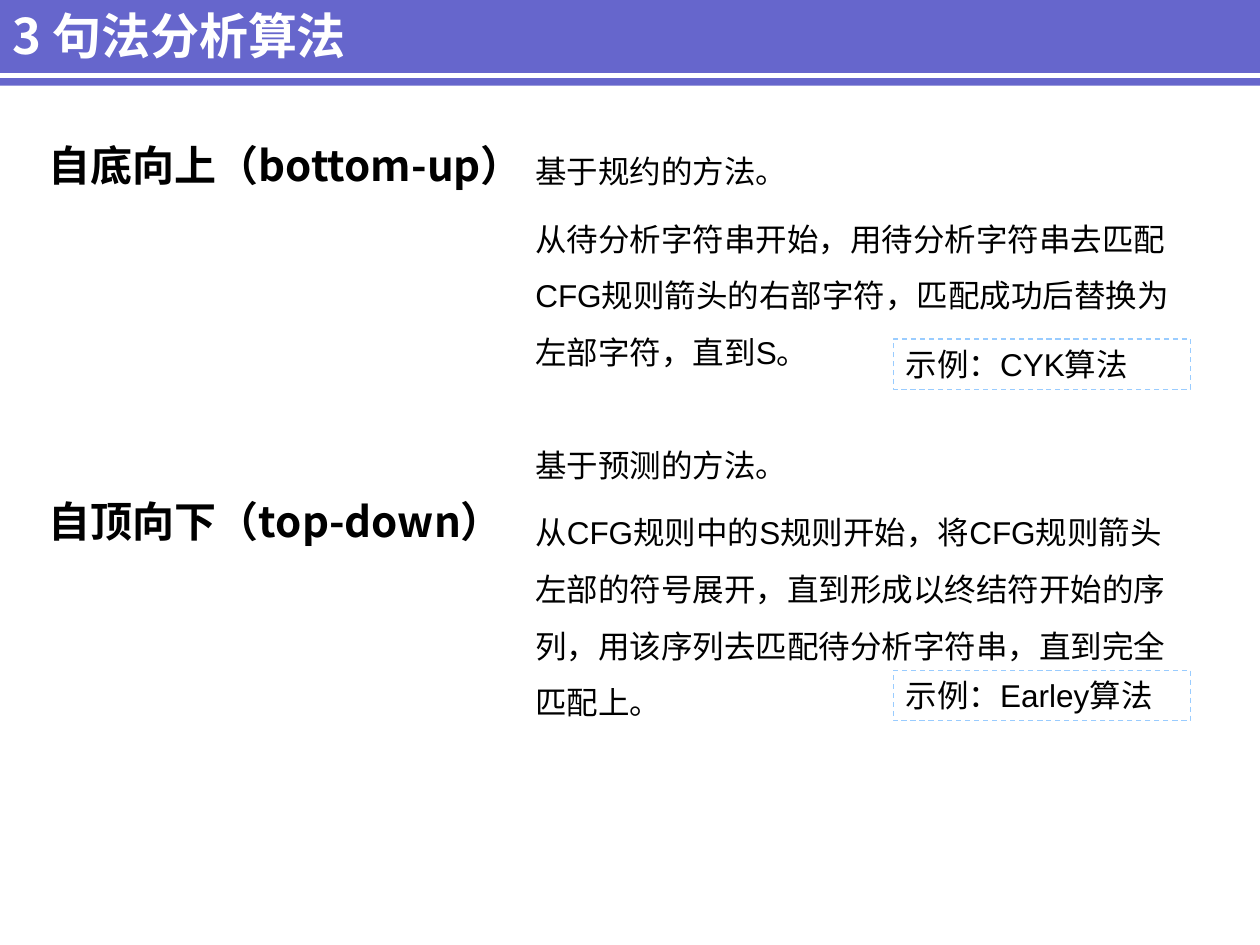
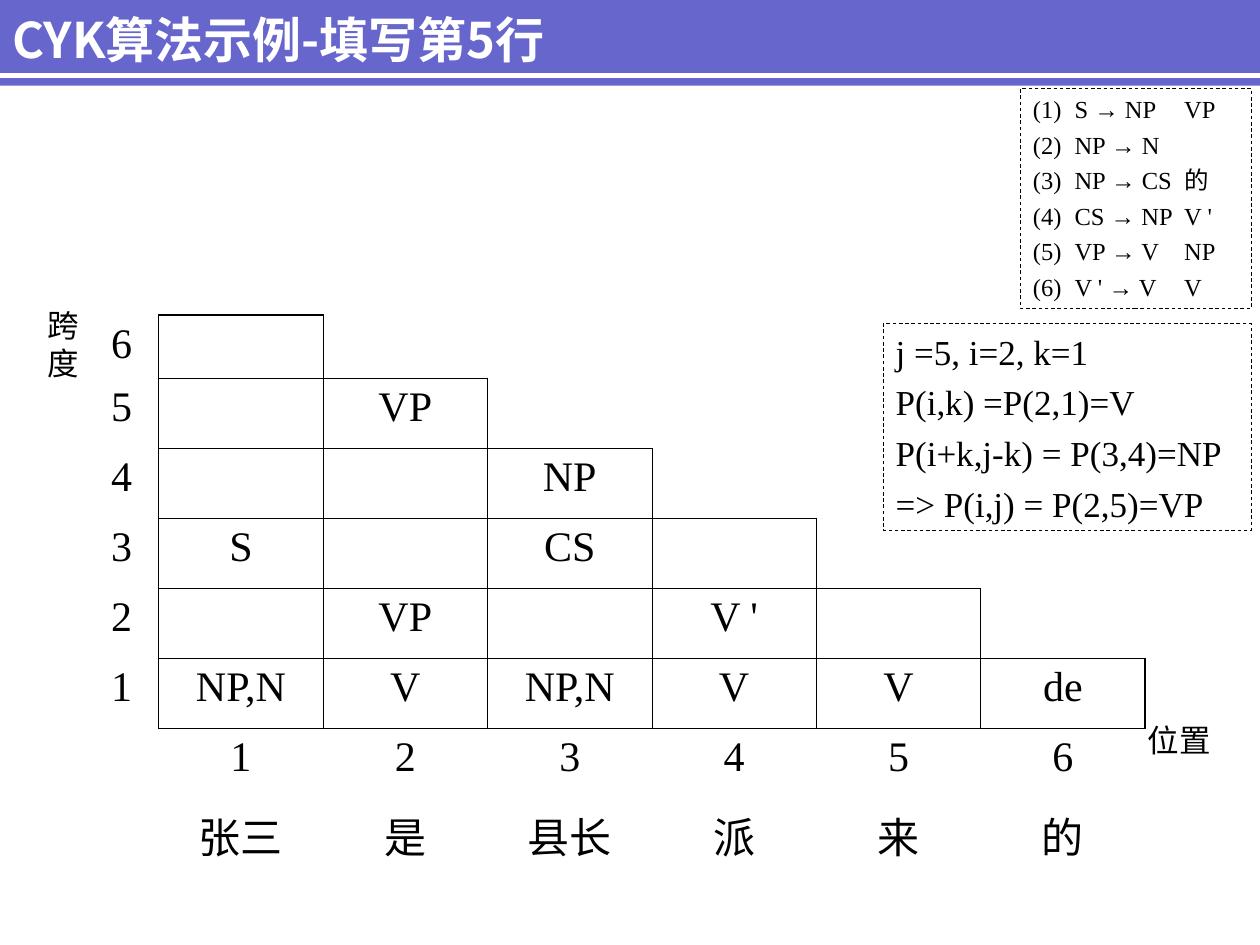
from dataclasses import dataclass

from lxml.etree import SubElement
from pptx import Presentation
from pptx.dml.color import RGBColor
from pptx.enum.dml import MSO_LINE
from pptx.enum.shapes import MSO_CONNECTOR, MSO_SHAPE
from pptx.enum.text import MSO_ANCHOR, PP_ALIGN
from pptx.oxml.ns import qn
from pptx.util import Inches, Pt


@dataclass(frozen=True)
class Theme:
    """Colours, fonts and type sizes of the presentation."""

    band: str = "6666CC"
    white: str = "FFFFFF"
    ink: str = "000000"
    example: str = "99CCFF"
    heading_font: str = "Noto Sans CJK SC"
    body_font: str = "Arial"
    label_font: str = "Calibri"
    chart_font: str = "Times New Roman"
    title_size: int = 28
    heading_size: int = 24
    formula_size: int = 20
    body_size: int = 18
    rule_size: int = 14
    grid_line: float = 0.45
    edge_line: float = 1.08


THEME = Theme()
NO_GRID_STYLE = "{2D5ABB26-0587-4C30-8999-92F81FD0307C}"

METHODS = [
    {
        "top": 1.01,
        "heading_top": 1.06,
        "example_top": 2.69,
        "heading": "自底向上（bottom-up）",
        "text": [
            "基于规约的方法。",
            "从待分析字符串开始，用待分析字符串去匹配CFG规则箭头的右部字符，匹配成功后替换为左部字符，直到S。",
        ],
        "example": "示例：CYK算法",
    },
    {
        "top": 3.34,
        "heading_top": 3.88,
        "example_top": 5.32,
        "heading": "自顶向下（top-down）",
        "text": [
            "基于预测的方法。",
            "从CFG规则中的S规则开始，将CFG规则箭头左部的符号展开，直到形成以终结符开始的序列，用该序列去匹配待分析字符串，直到完全匹配上。",
        ],
        "example": "示例：Earley算法",
    },
]

GRAMMAR = [
    "(1)\tS → NP\tVP",
    "(2)\tNP → N",
    "(3)\tNP → CS\t的",
    "(4)\tCS → NP\tV '",
    "(5)\tVP → V\tNP",
    "(6)\tV ' → V\tV",
]

DERIVATION = [
    "j =5, i=2, k=1",
    "P(i,k) =P(2,1)=V",
    "P(i+k,j-k) = P(3,4)=NP",
    "=> P(i,j) = P(2,5)=VP",
]

WORDS = ["张三", "是", "县长", "派", "来", "的"]
SPANS = [
    ["", "", "", "", "", ""],
    ["", "VP", "", "", "", ""],
    ["", "", "NP", "", "", ""],
    ["S", "", "CS", "", "", ""],
    ["", "VP", "", "V '", "", ""],
    ["NP,N", "V", "NP,N", "V", "V", "de"],
]


def rgb(colour):
    """Return a colour object for a hex string."""
    return RGBColor.from_string(colour)


def write_text(frame, lines, font=THEME.body_font, size=THEME.body_size, color=THEME.ink,
               bold=False, align=None, anchor=MSO_ANCHOR.TOP, gap=0, spacing=None,
               hanging=0, tabs=()):
    """Fill a text frame with one formatted paragraph for each line."""
    frame.word_wrap = True
    frame.vertical_anchor = anchor
    for index, line in enumerate(lines):
        paragraph = frame.add_paragraph() if index else frame.paragraphs[0]
        properties = paragraph._p.get_or_add_pPr()
        if hanging:
            properties.set("marL", str(Inches(hanging)))
            properties.set("indent", str(-Inches(hanging)))
        if tabs:
            tab_list = SubElement(properties, qn("a:tabLst"))
            for position in tabs:
                SubElement(tab_list, qn("a:tab"), pos=str(Inches(position)), algn="l")
        paragraph.alignment = align or PP_ALIGN.LEFT
        paragraph.line_spacing = spacing
        paragraph.space_before = Pt(gap if index else 0)
        before, arrow, after = line.partition("→")
        for part, face in ((before, font), (arrow, THEME.body_font), (after, font)):
            if part:
                run = paragraph.add_run()
                run.text = part
                run.font.name = face
                run.font.size = Pt(size)
                run.font.bold = bold
                run.font.color.rgb = rgb(color)


def add_text(slide, box, lines, **text_format):
    """Add a text box at the given left, top, width and height."""
    shape = slide.shapes.add_textbox(*map(Inches, box))
    write_text(shape.text_frame, lines, **text_format)


def add_dashed_box(slide, box, lines, line_color, line_width, **text_format):
    """Add a rectangle with a dashed outline around its text."""
    shape = slide.shapes.add_shape(MSO_SHAPE.RECTANGLE, *map(Inches, box))
    shape.shadow.inherit = False
    shape.fill.background()
    shape.line.color.rgb = rgb(line_color)
    shape.line.width = Pt(line_width)
    shape.line.dash_style = MSO_LINE.DASH
    write_text(shape.text_frame, lines, **text_format)


def add_title_slide_base(presentation, title, title_box):
    """Add a blank slide with the title band, its white rule and the title."""
    slide = presentation.slides.add_slide(presentation.slide_layouts[6])
    band = slide.shapes.add_shape(MSO_SHAPE.RECTANGLE, 0, 0, Inches(10), Inches(0.68))
    band.shadow.inherit = False
    band.fill.solid()
    band.fill.fore_color.rgb = rgb(THEME.band)
    band.line.fill.background()
    rule = slide.shapes.add_connector(
        MSO_CONNECTOR.STRAIGHT, 0, Inches(0.6), Inches(10), Inches(0.6))
    rule.line.color.rgb = rgb(THEME.white)
    rule.line.width = Pt(3)
    SubElement(rule._element.spPr, qn("a:effectLst"))
    add_text(slide, title_box, [title], font=THEME.heading_font, size=THEME.title_size,
             color=THEME.white, bold=True, anchor=MSO_ANCHOR.MIDDLE)
    return slide


def add_method(slide, method):
    """Add the heading, description and example of one parsing method."""
    add_text(slide, (0.29, method["heading_top"], 3.97, 0.95), [method["heading"]],
             font=THEME.heading_font, size=THEME.heading_size, bold=True, hanging=0.38)
    add_text(slide, (4.15, method["top"], 5.28, 2), method["text"], gap=6, spacing=1.5)
    add_dashed_box(slide, (7.09, method["example_top"], 2.36, 0.4), [method["example"]],
                   THEME.example, 0.75)


def set_borders(cell, widths):
    """Draw the borders of a cell from a width for each side."""
    properties = cell._tc.get_or_add_tcPr()
    for position, (side, width) in enumerate(widths.items()):
        line = properties.makeelement(qn(f"a:{side}"), {"w": str(Pt(width))})
        fill = SubElement(line, qn("a:solidFill"))
        SubElement(fill, qn("a:srgbClr"), val=THEME.ink)
        properties.insert(position, line)


def add_span_table(slide, box):
    """Add the triangular table of spans with its row and column labels."""
    label_width, first_height = 0.59, 0.5
    count = len(WORDS)
    rows = [[str(count - index), *spans] for index, spans in enumerate(SPANS)]
    rows.append(["", *(str(number + 1) for number in range(count))])
    rows.append(["", *WORDS])
    frame = slide.shapes.add_table(len(rows), count + 1, *map(Inches, box))
    table = frame.table
    table.first_row = table.horz_banding = False
    table._tbl.tblPr.find(qn("a:tableStyleId")).text = NO_GRID_STYLE
    for index, column in enumerate(table.columns):
        column.width = Inches((box[2] - label_width) / count if index else label_width)
    for index, row in enumerate(table.rows):
        row.height = Inches((box[3] - first_height) / (len(rows) - 1) if index else first_height)
    for row, texts in enumerate(rows):
        for column, text in enumerate(texts):
            cell = table.cell(row, column)
            cell.fill.background()
            if text:
                write_text(cell.text_frame, [text], font=THEME.chart_font,
                           size=THEME.heading_size, align=PP_ALIGN.CENTER)
            if row < count and 1 <= column <= row + 1:
                widths = dict.fromkeys(("lnL", "lnR", "lnT", "lnB"), THEME.grid_line)
                if row == 0:
                    widths["lnT"] = THEME.edge_line
                if column == count:
                    widths["lnR"] = THEME.edge_line
                set_borders(cell, widths)
    for row in range(2):
        table.cell(row, 4).merge(table.cell(row, count))


def build_methods_slide(presentation):
    """Build the slide that compares the two parsing directions."""
    slide = add_title_slide_base(presentation, "3 句法分析算法", (0, -0.03, 6.7, 0.62))
    for method in METHODS:
        add_method(slide, method)


def build_cyk_slide(presentation):
    """Build the slide that fills the fifth row of the span table."""
    slide = add_title_slide_base(presentation, "CYK算法示例-填写第5行", (0, 0, 9.38, 0.62))
    add_span_table(slide, (0.67, 2.5, 8.42, 4.39))
    add_text(slide, (0.28, 2.38, 0.6, 0.7), ["跨度"], font=THEME.label_font)
    add_text(slide, (9.01, 5.67, 0.98, 0.4), ["位置"], font=THEME.label_font)
    add_dashed_box(slide, (7.01, 2.57, 2.92, 1.64), DERIVATION, THEME.ink, 0.5,
                   font=THEME.chart_font, size=THEME.formula_size, gap=5)
    add_dashed_box(slide, (8.1, 0.7, 1.83, 1.75), GRAMMAR, THEME.ink, 0.5,
                   font=THEME.chart_font, size=THEME.rule_size, gap=3.5, tabs=(0.33, 1.2))


def main():
    """Build and save the presentation."""
    presentation = Presentation()
    presentation.slide_width = Inches(10)
    presentation.slide_height = Inches(7.5)
    build_methods_slide(presentation)
    build_cyk_slide(presentation)
    presentation.save("out.pptx")


if __name__ == "__main__":
    main()
